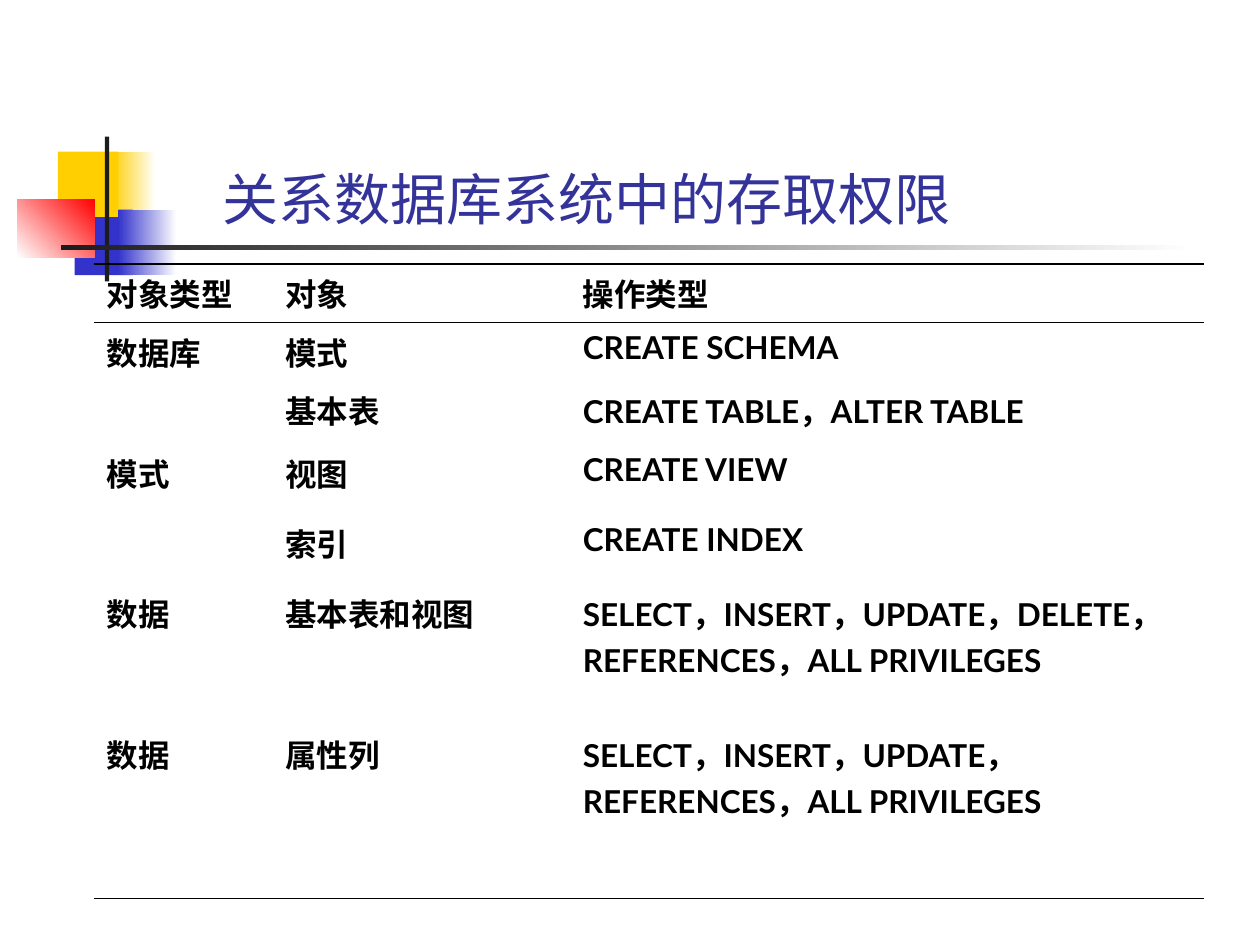
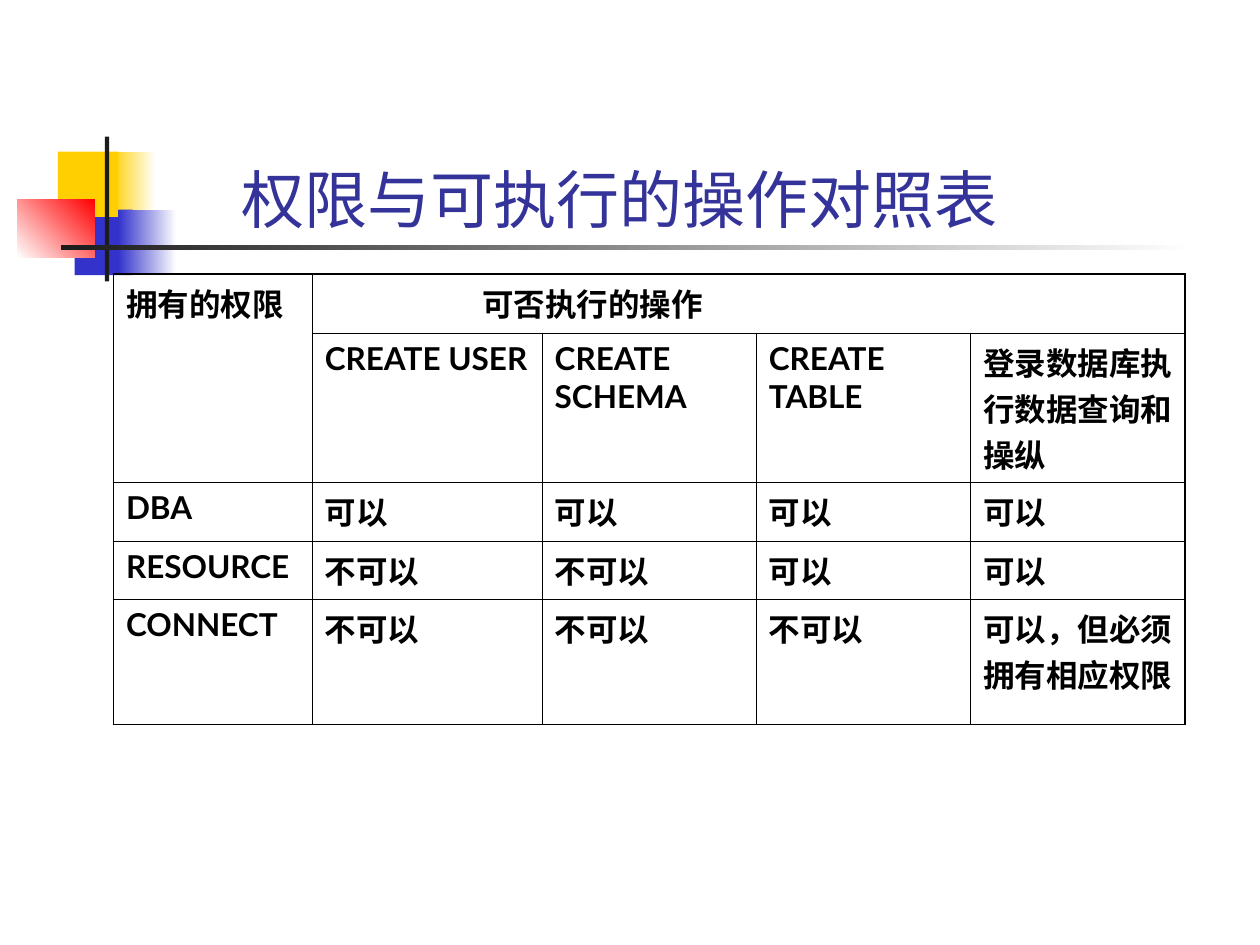
from pptx import Presentation
from pptx import util as u
from pptx.dml.color import RGBColor
from pptx.enum import lang, shapes, text
from pptx.oxml.ns import qn
from lxml import etree

BLACK, WHITE, DARK = "000000", "FFFFFF", "1C1C1C"
YELLOW, BLUE, RED, TITLE = "FFCF01", "3333CC", "FF0000", "333399"
FONT = "Lato"
THICK, THIN = 1.08, 0.45
PLAIN_STYLE = "{2D5ABB26-0587-4C30-8999-92F81FD0307C}"

BANDS = [
    (63.4, 86.6, 25.5, 37.4, (YELLOW, WHITE), 0),
    (42.7, 119.8, 33.1, 37.4, (BLUE,), 0),
    (33.1, 86.6, 34.6, 37.4, (YELLOW,), 0),
    (67.5, 119.8, 33.3, 37.4, (BLUE, WHITE), 0),
    (9.9, 113.8, 44.3, 33.4, (WHITE, RED), 45),
    (59.9, 78, 2.5, 82.8, (DARK,), 0),
    (34.8, 140.1, 648, 2.8, (DARK, WHITE), 0),
]

PRIVILEGES = [
    ["对象类型", "对象", "操作类型"],
    ["数据库", "模式", "CREATE SCHEMA"],
    ["", "基本表", "CREATE TABLE，ALTER TABLE"],
    ["模式", "视图", "CREATE VIEW"],
    ["", "索引", "CREATE INDEX"],
    ["数据", "基本表和视图", "SELECT，INSERT，UPDATE，DELETE，REFERENCES，ALL PRIVILEGES"],
    ["数据", "属性列", "SELECT，INSERT，UPDATE，REFERENCES，ALL PRIVILEGES"],
    ["", "", ""],
]

ROLES = [
    ["拥有的权限", "可否执行的操作", "", "", ""],
    ["", "CREATE USER", "CREATE SCHEMA", "CREATE TABLE", "登录数据库执行数据查询和操纵"],
    ["DBA", "可以", "可以", "可以", "可以"],
    ["RESOURCE", "不可以", "不可以", "可以", "可以"],
    ["CONNECT", "不可以", "不可以", "不可以", "可以，但必须拥有相应权限"],
]


def rgb(value):
    return RGBColor.from_string(value)


def apply(obj, **values):
    for name, value in values.items():
        setattr(obj, name, value)


def write(p, content, color, indent=0, **font):
    r = p.add_run()
    r.text = content
    apply(r.font, language_id=lang.MSO_LANGUAGE_ID.SIMPLIFIED_CHINESE, **font)
    r.font.color.rgb = rgb(color)
    if indent:
        p._p.get_or_add_pPr().set("marL", str(u.Pt(indent)))


def add_band(s, left, top, width, height, colors, angle):
    sp = s.shapes.add_shape(shapes.MSO_SHAPE.RECTANGLE,
                            *map(u.Pt, (left, top, width, height)))
    sp.shadow.inherit = False
    sp.line.fill.background()
    if len(colors) == 1:
        sp.fill.solid()
        sp.fill.fore_color.rgb = rgb(colors[0])
        return
    sp.fill.gradient()
    sp.fill.gradient_angle = angle
    for stop, color in zip(sp.fill.gradient_stops, colors):
        stop.color.rgb = rgb(color)


def add_title(s, content, size, indent, top):
    box = s.shapes.add_textbox(*map(u.Pt, (90.3, top, 613.4, 90)))
    tf = box.text_frame
    apply(tf, word_wrap=True, vertical_anchor=text.MSO_ANCHOR.BOTTOM)
    write(tf.paragraphs[0], content, TITLE, indent, name=FONT, size=u.Pt(size))


def set_border(cell, side, width):
    pr = cell._tc.get_or_add_tcPr()
    ln = etree.SubElement(pr, qn("a:ln" + side), w=str(u.Pt(width)))
    if width:
        fill = etree.SubElement(ln, qn("a:solidFill"))
        etree.SubElement(fill, qn("a:srgbClr"), val=BLACK)
    else:
        etree.SubElement(ln, qn("a:noFill"))


def add_table(s, left, top, widths, heights, rows, x_lines, y_lines,
              merges=(), indents=None, label_font=FONT):
    frame = s.shapes.add_table(len(heights), len(widths), u.Pt(left), u.Pt(top),
                               u.Pt(sum(widths)), u.Pt(sum(heights)))
    table = frame.table
    apply(table, first_row=False, horz_banding=False)
    table._tbl.tblPr.find(qn("a:tableStyleId")).text = PLAIN_STYLE
    for col, width in zip(table.columns, widths):
        col.width = u.Pt(width)
    for row, height in zip(table.rows, heights):
        row.height = u.Pt(height)
    for first, last in merges:
        table.cell(*first).merge(table.cell(*last))
    for i, row in enumerate(rows):
        for j, content in enumerate(row):
            cell = table.cell(i, j)
            if not cell.is_spanned:
                right = j + (cell.span_width if cell.is_merge_origin else 1)
                bottom = i + (cell.span_height if cell.is_merge_origin else 1)
                for side, width in zip("LRTB", (x_lines[j], x_lines[right],
                                                y_lines[i], y_lines[bottom])):
                    set_border(cell, side, width)
            cell.fill.background()
            if content:
                name = label_font if i and j == 0 else FONT
                write(cell.text_frame.paragraphs[0], content, BLACK,
                      (indents or {}).get((i, j), 0),
                      name=name, size=u.Pt(18), bold=True)


def add_slide(prs, title, size, indent, top):
    s = prs.slides.add_slide(prs.slide_layouts[6])
    for band in BANDS:
        add_band(s, *band)
    add_title(s, title, size, indent, top)
    return s


def main():
    prs = Presentation()
    apply(prs, slide_width=u.Pt(720), slide_height=u.Pt(540))

    s = add_slide(prs, "关系数据库系统中的存取权限", 32, 29.8, 45.7)
    add_table(s, 53.7, 150.8, [102.2, 170, 362.2],
              [33.4, 33.4, 36.2, 40, 40, 80.5, 59, 40.3], PRIVILEGES,
              x_lines=[0] * 4, y_lines=[THICK, THIN] + [0] * 6 + [THICK],
              label_font="Times New Roman")

    s = add_slide(prs, "权限与可执行的操作对照表", 36, 40.7, 48.2)
    add_table(s, 64.8, 156.5, [113.6, 131.4] + [122.4] * 3,
              [33.8, 85.2, 33.6, 33.3, 71.6], ROLES,
              x_lines=[THICK] + [THIN] * 4 + [THICK],
              y_lines=[THICK] + [THIN] * 4 + [THICK],
              merges=[((0, 0), (1, 0)), ((0, 1), (0, 4))],
              indents={(0, 1): 90})

    prs.save("out.pptx")


if __name__ == "__main__":
    main()
